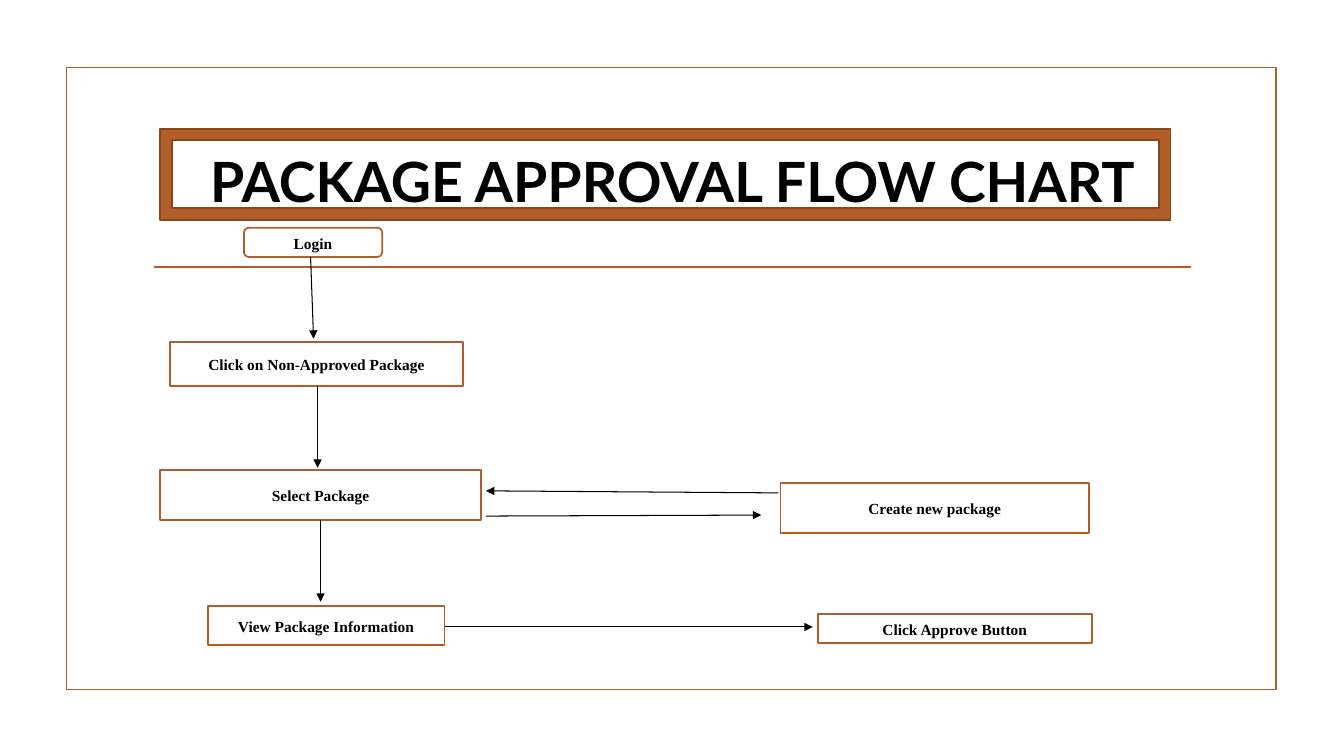
from dataclasses import dataclass

from lxml import etree
from pptx import Presentation
from pptx.dml.color import RGBColor
from pptx.enum.shapes import MSO_CONNECTOR, MSO_SHAPE
from pptx.enum.text import MSO_ANCHOR, PP_ALIGN
from pptx.oxml.ns import qn
from pptx.util import Inches, Pt

RECT, ROUNDED, FRAME = MSO_SHAPE.RECTANGLE, MSO_SHAPE.ROUNDED_RECTANGLE, MSO_SHAPE.FRAME
STRAIGHT = MSO_CONNECTOR.STRAIGHT
MIDDLE, CENTER = MSO_ANCHOR.MIDDLE, PP_ALIGN.CENTER
TITLE_ONLY = 5


@dataclass(frozen=True)
class Theme:
    paper: RGBColor = RGBColor(0xFF, 0xFF, 0xFF)
    ink: RGBColor = RGBColor(0, 0, 0)
    accent: RGBColor = RGBColor(0xB1, 0x5E, 0x28)
    accent_dark: RGBColor = RGBColor(0x83, 0x46, 0x1E)
    title_font: str = "Lato"
    step_font: str = "Times New Roman"
    title_size: float = 39.6
    step_size: float = 11
    outline: float = 1.25
    arrow: float = 0.75


THEME = Theme()


@dataclass(frozen=True)
class Box:
    """A region in inches; its contents are placed in percent of it."""
    left: float
    top: float
    width: float
    height: float

    def point(self, x, y):
        return (Inches(self.left + self.width * x / 100),
                Inches(self.top + self.height * y / 100))

    def area(self, x, y, w, h):
        return (*self.point(x, y), Inches(self.width * w / 100), Inches(self.height * h / 100))


PAGE = Box(0, 0, 13.33, 7.5)
BORDER = Box(0.66, 0.67, 12, 6.17)
TITLE = Box(1.42, 1.07, 10.5, 1.43)
FLOW = Box(1.59, 2.26, 9.24, 4.14)

# Steps: label, outline shape, place in FLOW
STEPS = [
    ("Login", ROUNDED, (8.98, 0, 14.83, 7)),
    ("Click on Non-Approved Package", RECT, (1.08, 27.29, 31.39, 10.63)),
    ("Select Package", RECT, (0, 57.97, 34.42, 12.08)),
    ("Create new package", RECT, (66.56, 61.11, 33.12, 12.08)),
    ("View Package Information", RECT, (5.09, 90.58, 25.43, 9.42)),
    ("Click Approve Button", RECT, (70.56, 92.51, 29.44, 7)),
]

# Arrows: start and end in FLOW
ARROWS = [
    ((16.13, 7), (16.45, 26.57)),         # login to non-approved
    ((16.88, 37.92), (16.88, 57.49)),     # non-approved to select
    ((17.21, 70.05), (17.21, 89.61)),     # select to view
    ((30.52, 95.65), (70.02, 95.65)),     # view to approve
    ((66.34, 63.53), (34.96, 63.04)),     # create back to select
    ((34.96, 69.08), (64.5, 68.84)),      # select to create
]


def add_outlined(slide, kind, place, fill=None, line=THEME.accent):
    shape = slide.shapes.add_shape(kind, *place)
    shape.shadow.inherit = False
    if fill is None:
        shape.fill.background()
    else:
        shape.fill.solid()
        shape.fill.fore_color.rgb = fill
    shape.line.color.rgb = line
    shape.line.width = Pt(THEME.outline)
    return shape


def add_line(slide, start, end, color, width, arrowhead=False):
    connector = slide.shapes.add_connector(STRAIGHT, *start, *end)
    connector.line.color.rgb = color
    connector.line.width = Pt(width)
    properties = connector._element.spPr
    if arrowhead:
        etree.SubElement(properties.find(qn("a:ln")), qn("a:tailEnd"), type="triangle")
    etree.SubElement(properties, qn("a:effectLst"))


def write(frame, text, font, size):
    frame.word_wrap = True
    frame.vertical_anchor = MIDDLE
    paragraph = frame.paragraphs[0]
    paragraph.alignment = CENTER
    run = paragraph.add_run()
    run.text = text
    run.font.name = font
    run.font.size = Pt(size)
    run.font.bold = True
    run.font.color.rgb = THEME.ink
    return paragraph


def build_backdrop(slide, box):
    add_outlined(slide, RECT, box.area(0, 0, 100, 100))
    # Rule below the title
    add_line(slide, box.point(7.25, 32.09), box.point(92.92, 32.09),
             THEME.accent, THEME.outline)


def build_title(slide, box):
    title = slide.shapes.title
    title.left, title.top, title.width, title.height = box.area(0, 0, 100, 100)
    write(title.text_frame, "PACKAGE APPROVAL FLOW CHART", THEME.title_font, THEME.title_size)
    # Frame around the heading
    add_outlined(slide, FRAME, box.area(1.62, 14.69, 95.43, 62.94),
                 THEME.accent, THEME.accent_dark)


def build_flow(slide, box):
    for label, kind, place in STEPS:
        step = add_outlined(slide, kind, box.area(*place), THEME.paper)
        paragraph = write(step.text_frame, label, THEME.step_font, THEME.step_size)
        paragraph.line_spacing = 1.07
        paragraph.space_after = Pt(8)
    for start, end in ARROWS:
        add_line(slide, box.point(*start), box.point(*end),
                 THEME.ink, THEME.arrow, arrowhead=True)


def main():
    deck = Presentation()
    deck.slide_width, deck.slide_height = Inches(PAGE.width), Inches(PAGE.height)
    slide = deck.slides.add_slide(deck.slide_layouts[TITLE_ONLY])
    slide.background.fill.solid()
    slide.background.fill.fore_color.rgb = THEME.paper
    build_backdrop(slide, BORDER)
    build_title(slide, TITLE)
    build_flow(slide, FLOW)
    deck.save("out.pptx")


if __name__ == "__main__":
    main()
